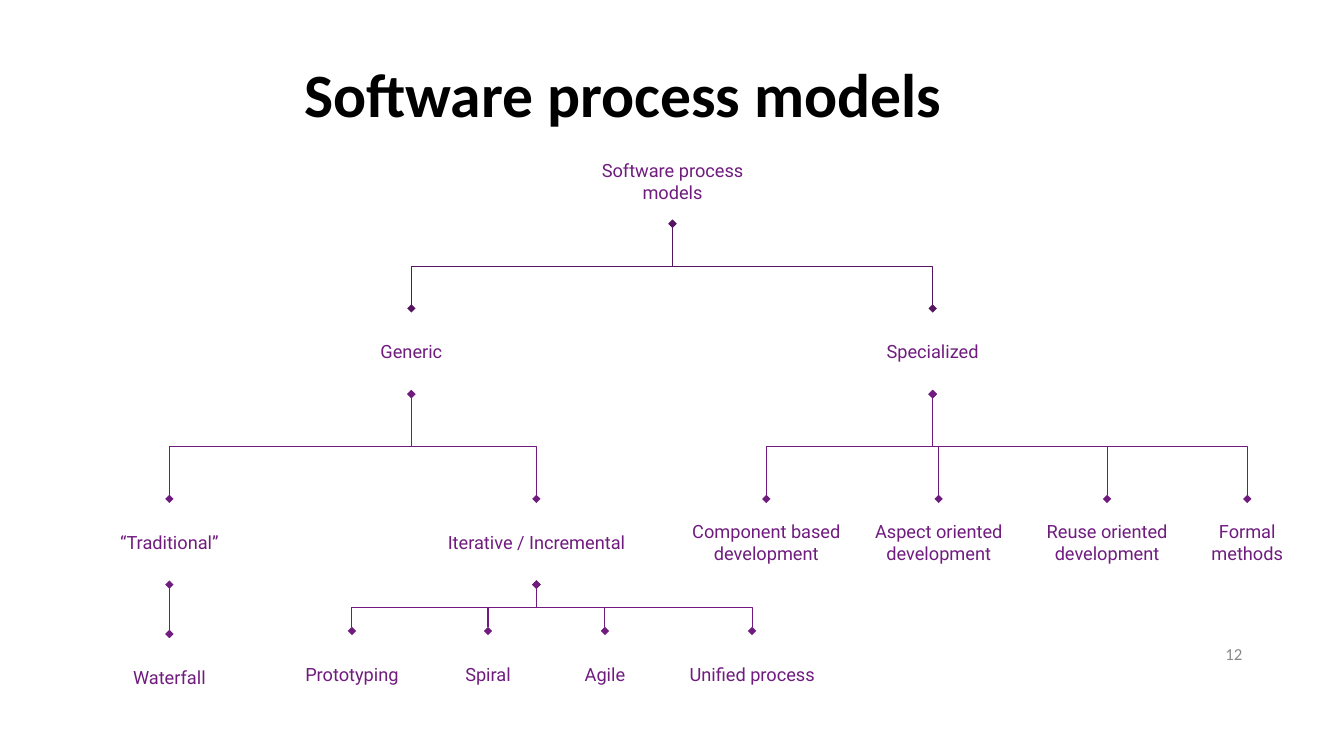
from lxml.etree import SubElement
from pptx import Presentation
from pptx.dml.color import RGBColor
from pptx.enum.shapes import MSO_CONNECTOR as CXN
from pptx.enum.text import MSO_ANCHOR as ANCHOR, PP_ALIGN as ALIGN
from pptx.oxml.ns import qn
from pptx.util import Inches, Pt

NODE_W, NODE_H = 2.24, 0.85
PURPLE, DARK_PURPLE = "701C7F", "551561"
BOTTOM_SITE, TOP_SITE = 2, 0
LEVELS = [1.37, 3.06, 4.95, 6.26]
WATERFALL_Y = 6.29

TREE = ("Software process models", 6.67, [
    ("Generic", 4.08, [
        ("“Traditional”", 1.68, [("Waterfall", 1.68, [])]),
        ("Iterative / Incremental", 5.32, [
            ("Prototyping", 3.49, []),
            ("Spiral", 4.84, []),
            ("Agile", 6, []),
            ("Unified process", 7.46, []),
        ]),
    ]),
    ("Specialized", 9.25, [
        ("Component based development", 7.6, []),
        ("Aspect oriented development", 9.31, []),
        ("Reuse oriented development", 10.98, []),
        ("Formal methods", 12.37, []),
    ]),
])
NODE_WIDTHS = {"Formal methods": 1.23}
NODE_TOPS = {"Waterfall": WATERFALL_Y}


def rgb(value):
    return RGBColor.from_string(value)


def add_text(s, box, text, font, size, color, bold=False,
             align=ALIGN.LEFT, inset=(0.1, 0.05), spacing=1.0):
    sp = s.shapes.add_textbox(*map(Inches, box))
    tf = sp.text_frame
    side, end = map(Inches, inset)
    frame = {"word_wrap": True, "vertical_anchor": ANCHOR.MIDDLE,
             "margin_left": side, "margin_right": side,
             "margin_top": end, "margin_bottom": end}
    for name, value in frame.items():
        setattr(tf, name, value)
    p = tf.paragraphs[0]
    p.alignment, p.line_spacing = align, spacing
    r = p.add_run()
    r.text = text
    for name, value in {"name": font, "size": Pt(size), "bold": bold}.items():
        setattr(r.font, name, value)
    r.font.color.rgb = rgb(color)
    return sp


def turn_elbow(cxn, parent, child):
    x1, y1 = parent.left + parent.width // 2, parent.top + parent.height
    x2, y2 = child.left + child.width // 2, child.top
    drop, run = y2 - y1, abs(x2 - x1)
    place = {"left": (x1 + x2 - drop) // 2, "top": (y1 + y2 - run) // 2,
             "width": drop, "height": run}
    for name, value in place.items():
        setattr(cxn, name, value)
    rightward = x2 > x1
    xfrm = cxn._element.spPr.find(qn("a:xfrm"))
    turn = {"rot": "16200000" if rightward else "5400000",
            "flipH": "1" if rightward else "0", "flipV": "0"}
    for name, value in turn.items():
        xfrm.set(name, value)


def add_branch(s, parent, child, color):
    straight = parent.left == child.left and parent.width == child.width
    cxn = s.shapes.add_connector(CXN.STRAIGHT if straight else CXN.ELBOW, 0, 0, 0, 0)
    cxn.begin_connect(parent, BOTTOM_SITE)
    cxn.end_connect(child, TOP_SITE)
    if not straight:
        turn_elbow(cxn, parent, child)
    cxn.line.color.rgb = rgb(color)
    cxn.line.width = Pt(0.75)
    ln = cxn.line._get_or_add_ln()
    for tag in ("a:headEnd", "a:tailEnd"):
        SubElement(ln, qn(tag), type="diamond")
    SubElement(cxn._element.spPr, qn("a:effectLst"))


def add_tree(s, node, origin, level=0):
    text, center, children = node
    left, top = origin
    width = NODE_WIDTHS.get(text, NODE_W)
    y = NODE_TOPS.get(text, LEVELS[level])
    box = (left + center - width / 2, top + y, width, NODE_H)
    sp = add_text(s, box, text, "Roboto", 13, PURPLE,
                  align=ALIGN.CENTER, inset=(0.13, 0.13))
    for child in children:
        branch = add_tree(s, child, origin, level + 1)
        add_branch(s, sp, branch, PURPLE if level else DARK_PURPLE)
    return sp


def add_title(s, box):
    add_text(s, box, "Software process models", "Calibri", 44, "000000",
             bold=True, spacing=0.9)


def add_page_number(s, box):
    add_text(s, box, "12", "Calibri", 12, "888888", align=ALIGN.RIGHT)


prs = Presentation()
prs.slide_width, prs.slide_height = Inches(13.33), Inches(7.5)
s = prs.slides.add_slide(prs.slide_layouts[6])
add_title(s, (2.92, 0.24, 10.33, 1.45))
add_page_number(s, (9.42, 6.29, 3, 0.4))
add_tree(s, TREE, (0, 0))
prs.save("out.pptx")
